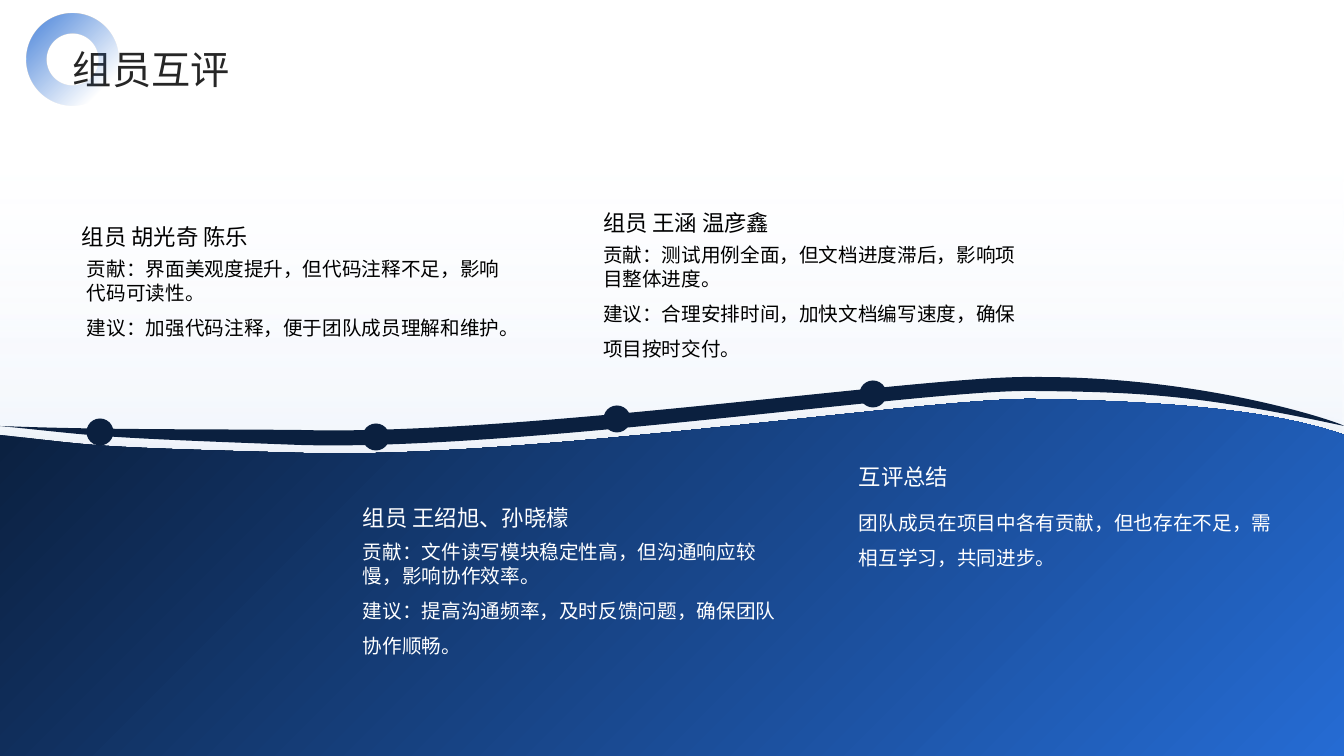
from pptx import Presentation
from pptx import util as u
from pptx.dml.color import RGBColor
from pptx.enum import shapes, text
from pptx.oxml import parse_xml
from pptx.oxml.ns import nsdecls, qn

PX = 914400 / 100.8
W, H = 1344, 756
NAVY = RGBColor(0x0B, 0x20, 0x3F)
BLUE = RGBColor(0x25, 0x6B, 0xD3)
PALE = RGBColor(0xDA, 0xE6, 0xF9)
SKY = RGBColor(0xA2, 0xC1, 0xEF)
BLACK = RGBColor(0, 0, 0)
WHITE = RGBColor(0xFF, 0xFF, 0xFF)
CHARCOAL = RGBColor(0x26, 0x26, 0x26)
FONT = "Noto Sans CJK SC"

prs = Presentation()
prs.slide_width, prs.slide_height = round(W * PX), round(H * PX)
slide = prs.slides.add_slide(prs.slide_layouts[6])


def paint(shape, stops, angle=0):
    """Fill with one colour, or with (percent, colour, opacity) stops; angle is clockwise."""
    shape.shadow.inherit = False
    shape.line.fill.background()
    if isinstance(stops, RGBColor):
        shape.fill.solid()
        shape.fill.fore_color.rgb = stops
        return
    shape.fill.gradient()
    shape.fill.gradient_angle = 360 - angle
    for stop, (percent, colour, _) in zip(shape.fill.gradient_stops, stops):
        stop.position = percent / 100
        stop.color.rgb = colour
    colours = shape._element.spPr.findall(".//" + qn("a:srgbClr"))
    for element, (_, _, opacity) in zip(colours, stops):
        if opacity < 100:
            element.append(parse_xml(f'<a:alpha {nsdecls("a")} val="{opacity * 1000}"/>'))


def write(paragraphs, left, top, width, height, size, colour, anchor):
    """Add a text box of (wording, line spacing) paragraphs; single-spaced ones do not hang punctuation."""
    frame = slide.shapes.add_textbox(*(round(v * PX) for v in (left, top, width, height))).text_frame
    frame.word_wrap = True
    frame.vertical_anchor = anchor
    frame.margin_left = frame.margin_top = frame.margin_right = frame.margin_bottom = 0
    for i, (wording, spacing) in enumerate(paragraphs):
        paragraph = frame.add_paragraph() if i else frame.paragraphs[0]
        paragraph.line_spacing = spacing
        if spacing == 1.0:
            paragraph._p.get_or_add_pPr().set("hangingPunct", "0")
        run = paragraph.add_run()
        run.text = wording
        run.font.size = u.Pt(size)
        run.font.name = FONT
        run.font.color.rgb = colour
        run.font._element.append(parse_xml(f'<a:ea {nsdecls("a")} typeface="{FONT}"/>'))


# Background haze
haze = slide.shapes.add_shape(shapes.MSO_SHAPE.RECTANGLE, 0, 0, prs.slide_width, prs.slide_height)
paint(haze, [(22, PALE, 0), (100, SKY, 40)], 90)

# Wave and ribbon: a segment is one point (line) or three points (cubic curve)
WAVE = [
    [(1033, 399)],
    [(1141, 401), (1266, 407), (1344, 435)],
    [(1344, 756)],
    [(0, 756)],
    [(0, 435)],
    [(101, 446), (82, 447), (301, 453)],
    [(520, 460), (926, 398), (1033, 399)],
]
RIBBON = [
    [(1033, 377)],
    [(1208, 376), (1344, 424), (1344, 426)],
    [(1201, 395), (1141, 392), (1033, 391)],
    [(926, 389), (520, 451), (301, 445)],
    [(82, 437), (101, 436), (0, 426)],
    [(101, 430), (201, 429), (301, 430)],
    [(520, 436), (926, 375), (1033, 377)],
]
bands = []
for outline in (WAVE, RIBBON):
    ends = [(round(x * PX), round(y * PX)) for x, y in (segment[-1] for segment in outline)]
    builder = slide.shapes.build_freeform(*ends[0])
    builder.add_line_segments(ends[1:], close=True)
    band = builder.convert_to_shape()
    for line, segment in zip(band._element.spPr.findall(".//" + qn("a:lnTo")), outline[1:]):
        if len(segment) == 3:
            points = "".join(
                f'<a:pt x="{round(x * PX) - band.left}" y="{round(y * PX) - band.top}"/>' for x, y in segment)
            curve = parse_xml(f'<a:cubicBezTo {nsdecls("a")}>{points}</a:cubicBezTo>')
            line.getparent().replace(line, curve)
    bands.append(band)

wave, ribbon = bands
paint(wave, [(1, NAVY, 100), (100, BLUE, 100)], 45)
wave._element.spPr.find(qn("a:effectLst")).append(parse_xml(
    f'<a:outerShdw {nsdecls("a")} blurRad="{u.Pt(26)}" dist="{u.Pt(15)}" dir="5400000" rotWithShape="0">'
    '<a:srgbClr val="08182F"><a:alpha val="25000"/></a:srgbClr></a:outerShdw>'))
paint(ribbon, NAVY)

# Reviews: heading left and top, body left and top, colour, heading, body paragraphs
REVIEWS = [
    (82, 184, 87, 257, BLACK, "组员 胡光奇 陈乐",
     [("贡献：界面美观度提升，但代码注释不足，影响代码可读性。", 1.0),
      ("建议：加强代码注释，便于团队成员理解和维护。", 1.5)]),
    (603, 170, 603, 243, BLACK, "组员 王涵 温彦鑫",
     [("贡献：测试用例全面，但文档进度滞后，影响项目整体进度。", 1.0),
      ("建议：合理安排时间，加快文档编写速度，确保项目按时交付。", 1.5)]),
    (363, 465, 363, 540, WHITE, "组员 王绍旭、孙晓檬",
     [("贡献：文件读写模块稳定性高，但沟通响应较慢，影响协作效率。", 1.0),
      ("建议：提高沟通频率，及时反馈问题，确保团队协作顺畅。", 1.5)]),
    (859, 424, 859, 499, WHITE, "互评总结",
     [("团队成员在项目中各有贡献，但也存在不足，需相互学习，共同进步。", 1.5)]),
]
for head_left, head_top, body_left, body_top, colour, heading, body in REVIEWS:
    write([(heading, 1.3)], head_left, head_top, 423, 66, 16, colour, text.MSO_ANCHOR.BOTTOM)
    write(body, body_left, body_top, 423, 128, 14, colour, text.MSO_ANCHOR.TOP)

# Milestones on the ribbon: a ring and its core around one centre
for x, y in ((873, 394), (617, 419), (376, 437), (100, 432)):
    for size in (27, 8):
        dot = slide.shapes.add_shape(
            shapes.MSO_SHAPE.OVAL,
            *(round(v * PX) for v in (x - size / 2, y - size / 2, size, size)))
        paint(dot, NAVY)

# Title with its ring
write([("组员互评", 1.3)], 73, 38, 1198, 48, 28, CHARCOAL, text.MSO_ANCHOR.MIDDLE)
ring = slide.shapes.add_shape(shapes.MSO_SHAPE.DONUT, *(round(v * PX) for v in (27, 14, 91, 91)))
ring.adjustments[0] = 0.22
ring.rotation = 270
ring._element.spPr.find(qn("a:xfrm")).set("flipH", "1")
paint(ring, [(11, BLUE, 72), (82, BLUE, 0)], 45)

prs.save("out.pptx")
